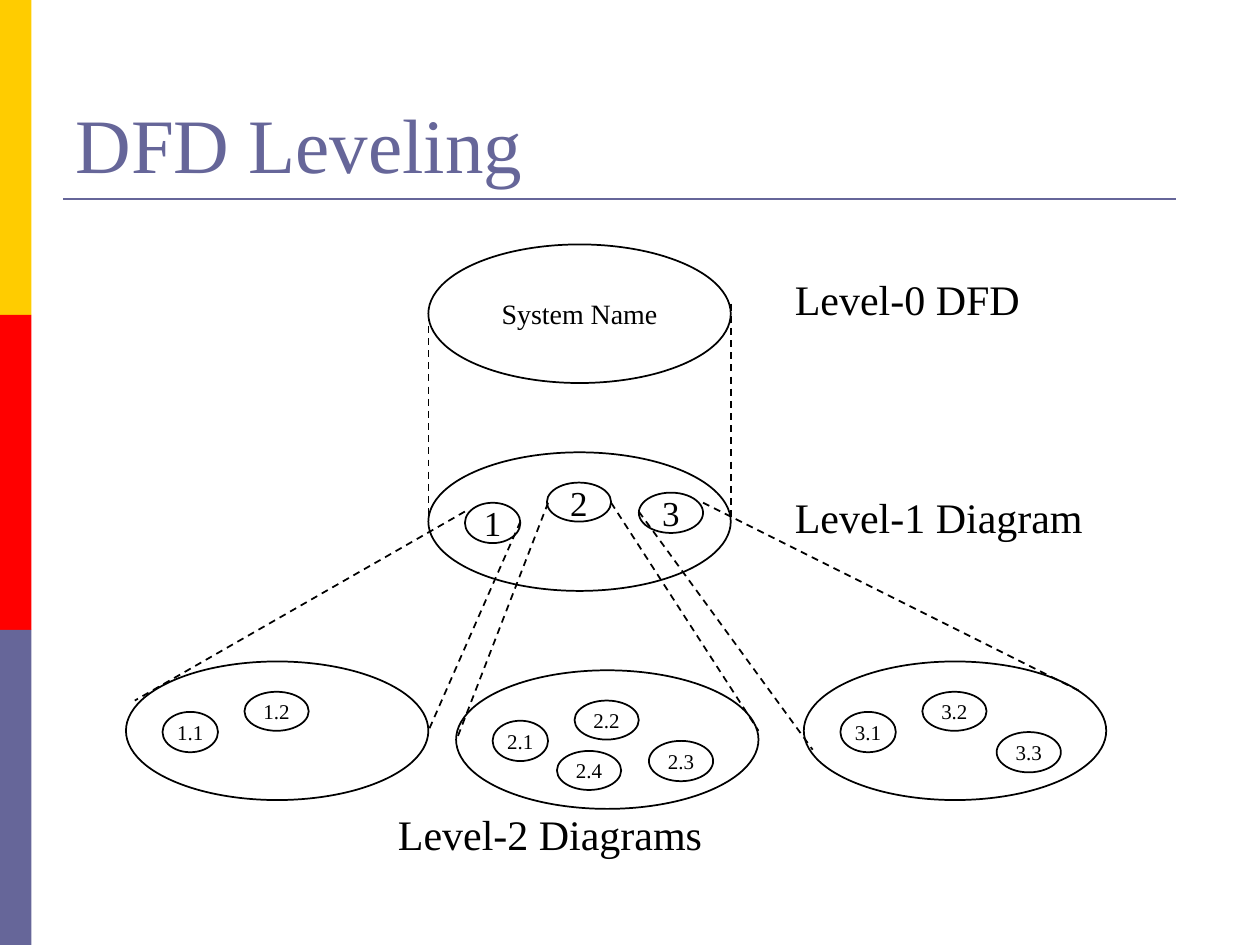
import pptx
import pptx.dml.color
import pptx.enum.dml
import pptx.enum.shapes
import pptx.enum.text
import pptx.oxml.ns
import pptx.util
from lxml import etree

EMU_PER_PX = 9144
FONT = "Times New Roman"
COLORS = {"gold": "FFCC00", "red": "FF0000", "slate": "666699", "ink": "000000"}
BUBBLE = (240, 110)
SLOTS = [(29, 40, 44, 32), (94, 24, 51, 31), (153, 56, 51, 32), (80, 64, 51, 31)]
TOP_SLOTS = SLOTS[:2] + [(167, 32, 51, 32)]
DIAGRAMS = [
    (340, 359, TOP_SLOTS, ["1", "2", "3"], 20),
    (100, 525, SLOTS, ["1.1", "1.2"], 12),
    (362, 532, SLOTS, ["2.1", "2.2", "2.3", "2.4"], 12),
    (638, 525, SLOTS, ["3.1", "3.2", "3.3"], 12),
]
LEVELS = [
    (621, 212, 200, "Level-0 DFD"),
    (621, 385, 250, "Level-1 Diagram"),
    (306, 637, 263, "Level-2 Diagrams"),
]
EXPANSIONS = [
    (340, 249, 340, 422), (580, 241, 580, 414),
    (369, 406, 107, 556), (413, 414, 340, 580),
    (435, 399, 362, 588), (485, 399, 602, 580),
    (507, 406, 645, 595), (558, 399, 856, 548),
]


def px(*lengths):
    """Convert whole pixels to EMU."""
    return [pptx.util.Emu(length * EMU_PER_PX) for length in lengths]


def color(name):
    """Look up a named colour."""
    return pptx.dml.color.RGBColor.from_string(COLORS[name])


def write(frame, text, size, name="ink", align=pptx.enum.text.PP_ALIGN.LEFT):
    """Put one formatted line of text in a frame."""
    frame.text = text
    para = frame.paragraphs[0]
    para.alignment = align
    for span in para.runs:
        span.font.name = FONT
        span.font.size = pptx.util.Pt(size)
        span.font.color.rgb = color(name)


def add_title(page, text):
    """Fill and place the title placeholder."""
    title = page.shapes.title
    title.left, title.top, title.width, title.height = px(50, 30, 900, 125)
    frame = title.text_frame
    frame.auto_size = pptx.enum.text.MSO_AUTO_SIZE.NONE
    frame.vertical_anchor = pptx.enum.text.MSO_ANCHOR.BOTTOM
    write(frame, text, 44, "slate")


def add_band(page, top, name):
    """Add one colour band of the left edge."""
    band = page.shapes.add_shape(
        pptx.enum.shapes.MSO_SHAPE.RECTANGLE, *px(0, top, 25, 250))
    band.shadow.inherit = False
    band.fill.solid()
    band.fill.fore_color.rgb = color(name)
    band.line.fill.background()


def add_line(page, ends, name="ink", width=1, dashed=True):
    """Add a straight line between two points."""
    line = page.shapes.add_connector(
        pptx.enum.shapes.MSO_CONNECTOR.STRAIGHT, *px(*ends))
    line.line.color.rgb = color(name)
    line.line.width = pptx.util.Pt(width)
    if dashed:
        line.line.dash_style = pptx.enum.dml.MSO_LINE.DASH
    etree.SubElement(line._element.spPr, pptx.oxml.ns.qn("a:effectLst"))


def add_ellipse(page, area, text="", size=12):
    """Add an outlined ellipse with an optional centred name."""
    ellipse = page.shapes.add_shape(pptx.enum.shapes.MSO_SHAPE.OVAL, *px(*area))
    ellipse.shadow.inherit = False
    ellipse.fill.background()
    ellipse.line.color.rgb = color("ink")
    ellipse.line.width = pptx.util.Pt(1)
    if text:
        frame = ellipse.text_frame
        frame.word_wrap = False
        frame.vertical_anchor = pptx.enum.text.MSO_ANCHOR.MIDDLE
        write(frame, text, size, align=pptx.enum.text.PP_ALIGN.CENTER)


def add_diagram(page, left, top, slots, names, size):
    """Add a large ellipse holding its numbered processes."""
    add_ellipse(page, (left, top, *BUBBLE))
    for (across, down, width, height), name in zip(slots, names):
        add_ellipse(page, (left + across, top + down, width, height), name, size)


def add_label(page, left, top, width, text):
    """Add the caption of a level on a single line."""
    box = page.shapes.add_textbox(*px(left, top, width, 50))
    frame = box.text_frame
    frame.word_wrap = False
    frame.auto_size = pptx.enum.text.MSO_AUTO_SIZE.SHAPE_TO_FIT_TEXT
    write(frame, text, 24)


def main():
    """Build and save the slide."""
    deck = pptx.Presentation()
    deck.slide_width, deck.slide_height = px(1000, 750)
    page = deck.slides.add_slide(deck.slide_layouts[5])
    for index, name in enumerate(["gold", "red", "slate"]):
        add_band(page, index * 250, name)
    add_line(page, (50, 158, 933, 158), "slate", 1.5, dashed=False)
    add_title(page, "DFD Leveling")
    add_ellipse(page, (340, 194, *BUBBLE), "System Name", 16)
    for diagram in DIAGRAMS:
        add_diagram(page, *diagram)
    for level in LEVELS:
        add_label(page, *level)
    for ends in EXPANSIONS:
        add_line(page, ends)
    deck.save("out.pptx")


if __name__ == "__main__":
    main()
